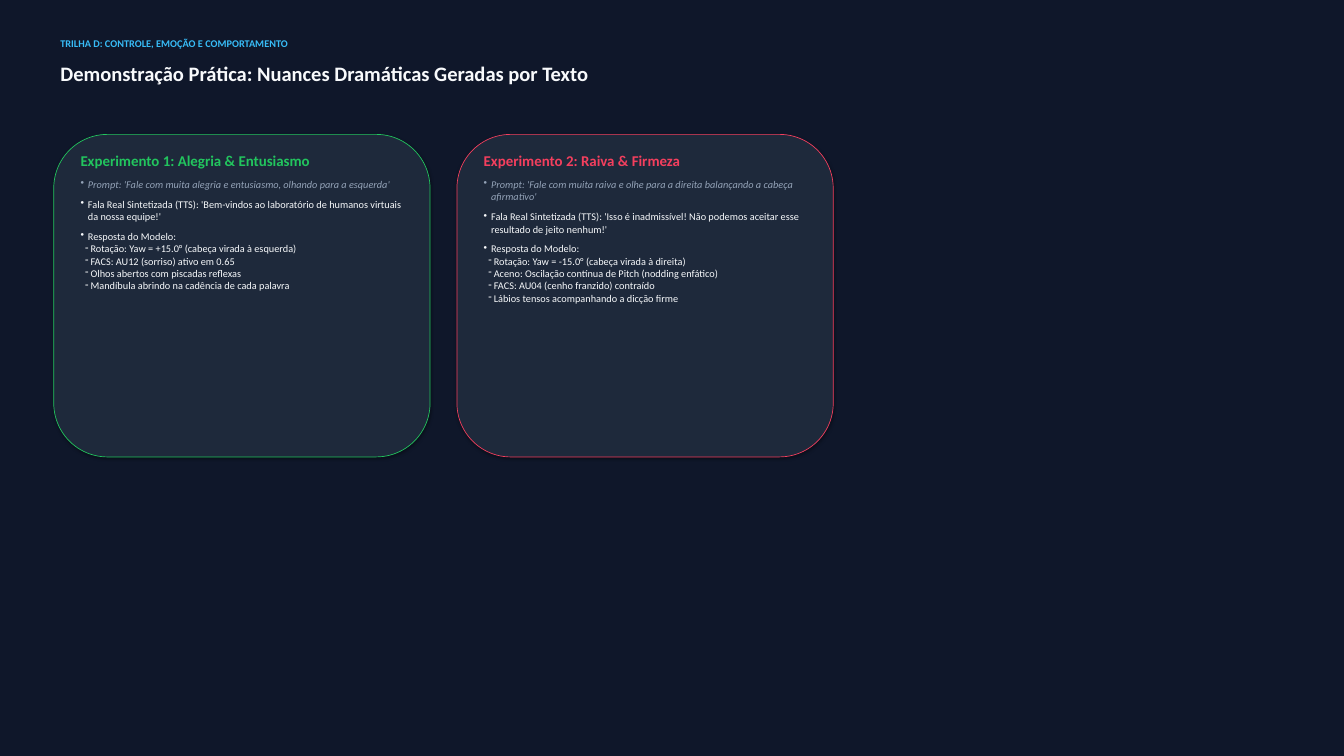
"""Builds the slide comparing two text-driven emotion experiments."""
from lxml import etree
from pptx import Presentation
from pptx import util as u
from pptx.dml.color import RGBColor
from pptx.enum import shapes, text
from pptx.oxml.ns import qn

COLORS = {
    "background": "0F172A", "card": "1E293B", "text": "F8FAFC", "muted": "94A3B8",
    "track": "38BDF8", "joy": "22C55E", "anger": "F43F5E",
}
FONT = "Calibri"
CELL = u.Inches(0.1)
LEFT, HEAD_W = 8, 184
CARD_TOP, CARD_W, CARD_H, GAP = 20, 56, 48, 4
PAD_X, PAD_Y = 3, 2

EXPERIMENTS = [
    ("joy", "Experimento 1: Alegria & Entusiasmo",
     "Prompt: 'Fale com muita alegria e entusiasmo, olhando para a esquerda'",
     "Fala Real Sintetizada (TTS): 'Bem-vindos ao laboratório de humanos virtuais da nossa equipe!'",
     ["Rotação: Yaw = +15.0° (cabeça virada à esquerda)",
      "FACS: AU12 (sorriso) ativo em 0.65",
      "Olhos abertos com piscadas reflexas",
      "Mandíbula abrindo na cadência de cada palavra"]),
    ("anger", "Experimento 2: Raiva & Firmeza",
     "Prompt: 'Fale com muita raiva e olhe para a direita balançando a cabeça afirmativo'",
     "Fala Real Sintetizada (TTS): 'Isso é inadmissível! Não podemos aceitar esse resultado de jeito nenhum!'",
     ["Rotação: Yaw = -15.0° (cabeça virada à direita)",
      "Aceno: Oscilação contínua de Pitch (nodding enfático)",
      "FACS: AU04 (cenho franzido) contraído",
      "Lábios tensos acompanhando a dicção firme"]),
]


def rgb(name):
    return RGBColor.from_string(COLORS[name])


def grid(*cells):
    return [int(c * CELL) for c in cells]


def set_bullet(p, char, margin, hang):
    pPr = p._p.get_or_add_pPr()
    pPr.set("marL", str(u.Inches(margin)))
    pPr.set("indent", str(-u.Inches(hang)))
    etree.SubElement(pPr, qn("a:buChar")).set("char", char)


def write(p, content, size=11, color="text", bold=False, italic=False, after=0, bullet=None):
    if bullet:
        set_bullet(p, *bullet)
    p.alignment = text.PP_ALIGN.LEFT
    p.space_after = u.Pt(after)
    r = p.add_run()
    r.text = content
    f = r.font
    f.name, f.size, f.bold, f.italic = FONT, u.Pt(size), bold, italic
    f.color.rgb = rgb(color)


def prepare_frame(sp):
    tf = sp.text_frame
    tf.word_wrap = True
    tf.auto_size = text.MSO_AUTO_SIZE.NONE
    tf.vertical_anchor = text.MSO_ANCHOR.TOP
    return tf


def add_text(s, box, lines):
    tf = prepare_frame(s.shapes.add_textbox(*grid(*box)))
    for i, (content, style) in enumerate(lines):
        p = tf.add_paragraph() if i else tf.paragraphs[0]
        write(p, content, **style)


def add_title(s, box, content):
    sp = s.shapes.title
    sp.left, sp.top, sp.width, sp.height = grid(*box)
    write(prepare_frame(sp).paragraphs[0], content, size=22, bold=True)


def add_card(s, column, accent, heading, prompt, speech, responses):
    left = LEFT + column * (CARD_W + GAP)
    sp = s.shapes.add_shape(shapes.MSO_SHAPE.ROUNDED_RECTANGLE,
                            *grid(left, CARD_TOP, CARD_W, CARD_H))
    sp.fill.solid()
    sp.fill.fore_color.rgb = rgb("card")
    sp.line.color.rgb = rgb(accent)
    sp.line.width = u.Pt(0.75)

    item, detail = ("•", 0.11, 0.11), ("-", 0.15, 0.08)
    lines = [
        (heading, dict(size=16, color=accent, bold=True, after=10)),
        (prompt, dict(color="muted", italic=True, after=8, bullet=item)),
        (speech, dict(after=8, bullet=item)),
        ("Resposta do Modelo:", dict(bullet=item)),
    ] + [(response, dict(bullet=detail)) for response in responses]
    box = (left + PAD_X, CARD_TOP + PAD_Y, CARD_W - 2 * PAD_X, CARD_H - 2 * PAD_Y)
    add_text(s, box, lines)


def main():
    prs = Presentation()
    prs.slide_width, prs.slide_height = u.Inches(20), u.Inches(11.25)
    s = prs.slides.add_slide(prs.slide_layouts.get_by_name("Title Only"))
    s.background.fill.solid()
    s.background.fill.fore_color.rgb = rgb("background")

    add_text(s, (LEFT, 5, HEAD_W, 4),
             [("TRILHA D: CONTROLE, EMOÇÃO E COMPORTAMENTO", dict(color="track", bold=True))])
    add_title(s, (LEFT, 8.5, HEAD_W, 8),
              "Demonstração Prática: Nuances Dramáticas Geradas por Texto")
    for column, experiment in enumerate(EXPERIMENTS):
        add_card(s, column, *experiment)
    prs.save("out.pptx")


if __name__ == "__main__":
    main()
